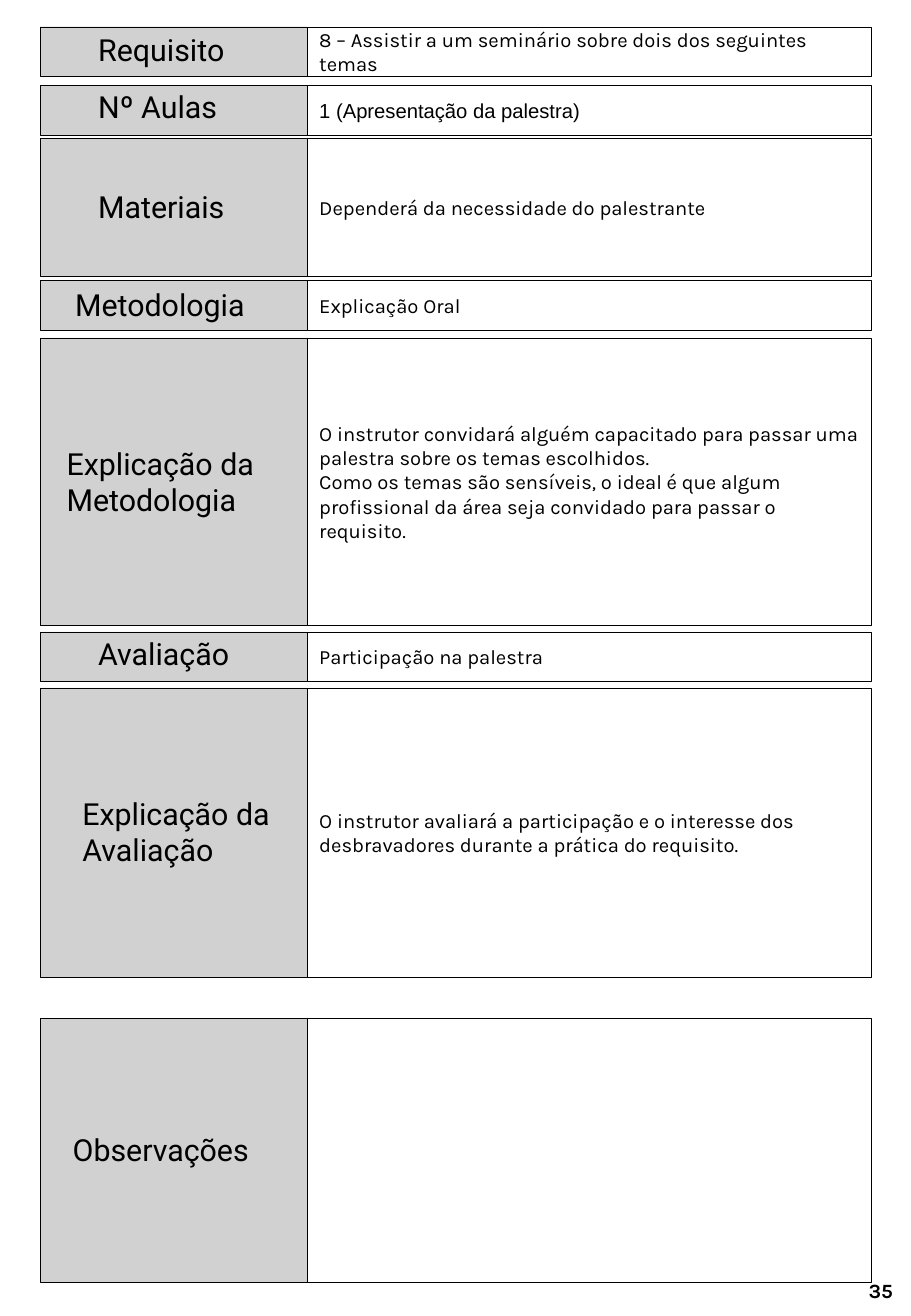
from typing import NamedTuple

from pptx import Presentation
from pptx.dml.color import RGBColor
from pptx.enum.shapes import MSO_SHAPE
from pptx.enum.text import MSO_ANCHOR, PP_ALIGN
from pptx.util import Emu, Pt

PX = 9144
BLACK = RGBColor(0x00, 0x00, 0x00)
WHITE = RGBColor(0xFF, 0xFF, 0xFF)
GREY = RGBColor(0xD1, 0xD1, 0xD1)

PLAN_LEFT = 33
HEADING_WIDTH = 220
CONTENT_WIDTH = 464
LINE_HEIGHT = 31
LABEL_PADDING = 9


class PlanRow(NamedTuple):
    top: int
    height: int
    label: str
    label_indent: int
    label_width: int
    content: tuple = ()
    label_lines: int = 1
    lift: int = 0
    font: str = "Karla"


PLAN_ROWS = [
    PlanRow(22, 41, "Requisito", 38, 145,
            ("8 – Assistir a um seminário sobre dois dos seguintes temas",), lift=1),
    PlanRow(70, 41, "Nº Aulas", 38, 145,
            ("1 (Apresentação da palestra)",), lift=2, font="Arial"),
    PlanRow(114, 113, "Materiais", 38, 145,
            ("Dependerá da necessidade do palestrante",)),
    PlanRow(231, 41, "Metodologia", 19, 183, ("Explicação Oral",)),
    PlanRow(278, 237, "Explicação da Metodologia", 12, 196,
            ("O instrutor convidará alguém capacitado para passar uma palestra "
             "sobre os temas escolhidos.",
             "Como os temas são sensíveis, o ideal é que algum profissional da "
             "área seja convidado para passar o requisito."), label_lines=2),
    PlanRow(520, 41, "Avaliação", 38, 145,
            ("Participação na palestra",), lift=2),
    PlanRow(566, 238, "Explicação da Avaliação", 25, 183,
            ("O instrutor avaliará a participação e o interesse dos desbravadores "
             "durante a prática do requisito.",), label_lines=2),
    PlanRow(838, 217, "Observações", 17, 183),
]


def to_emu(*lengths):
    return [Emu(length * PX) for length in lengths]


def write_text(frame, paragraphs, font="Karla", size=12, bold=False,
               align=PP_ALIGN.LEFT, anchor=MSO_ANCHOR.MIDDLE):
    frame.word_wrap = True
    frame.vertical_anchor = anchor
    for index, text in enumerate(paragraphs):
        paragraph = frame.add_paragraph() if index else frame.paragraphs[0]
        paragraph.alignment = align
        run = paragraph.add_run()
        run.text = text
        run.font.name = font
        run.font.size = Pt(size)
        run.font.bold = bold
        run.font.color.rgb = BLACK


def add_cell(slide, left, top, width, height, fill):
    cell = slide.shapes.add_shape(MSO_SHAPE.RECTANGLE, *to_emu(left, top, width, height))
    cell.shadow.inherit = False
    cell.fill.solid()
    cell.fill.fore_color.rgb = fill
    cell.line.color.rgb = BLACK
    cell.line.width = Pt(0.25)
    return cell


def add_plan_row(slide, left, row):
    add_cell(slide, left, row.top, HEADING_WIDTH, row.height, GREY)
    content = add_cell(slide, left + HEADING_WIDTH, row.top, CONTENT_WIDTH,
                       row.height, WHITE)
    if row.content:
        write_text(content.text_frame, row.content, font=row.font)
    label_height = LABEL_PADDING + row.label_lines * LINE_HEIGHT
    label_top = row.top + (row.height - label_height) // 2 - row.lift
    label = slide.shapes.add_textbox(
        *to_emu(left + row.label_indent, label_top, row.label_width, label_height))
    write_text(label.text_frame, [row.label], font="Roboto", size=18,
               anchor=MSO_ANCHOR.TOP)


def add_page_number(slide, left, top, width, height, number):
    page_number = slide.shapes.add_textbox(*to_emu(left, top, width, height))
    write_text(page_number.text_frame, [number], bold=True, align=PP_ALIGN.RIGHT)


def main():
    presentation = Presentation()
    presentation.slide_width, presentation.slide_height = to_emu(750, 1083)
    slide = presentation.slides.add_slide(presentation.slide_layouts[6])
    for row in PLAN_ROWS:
        add_plan_row(slide, PLAN_LEFT, row)
    add_page_number(slide, 576, 1033, 169, 58, "35")
    presentation.save("out.pptx")


if __name__ == "__main__":
    main()
